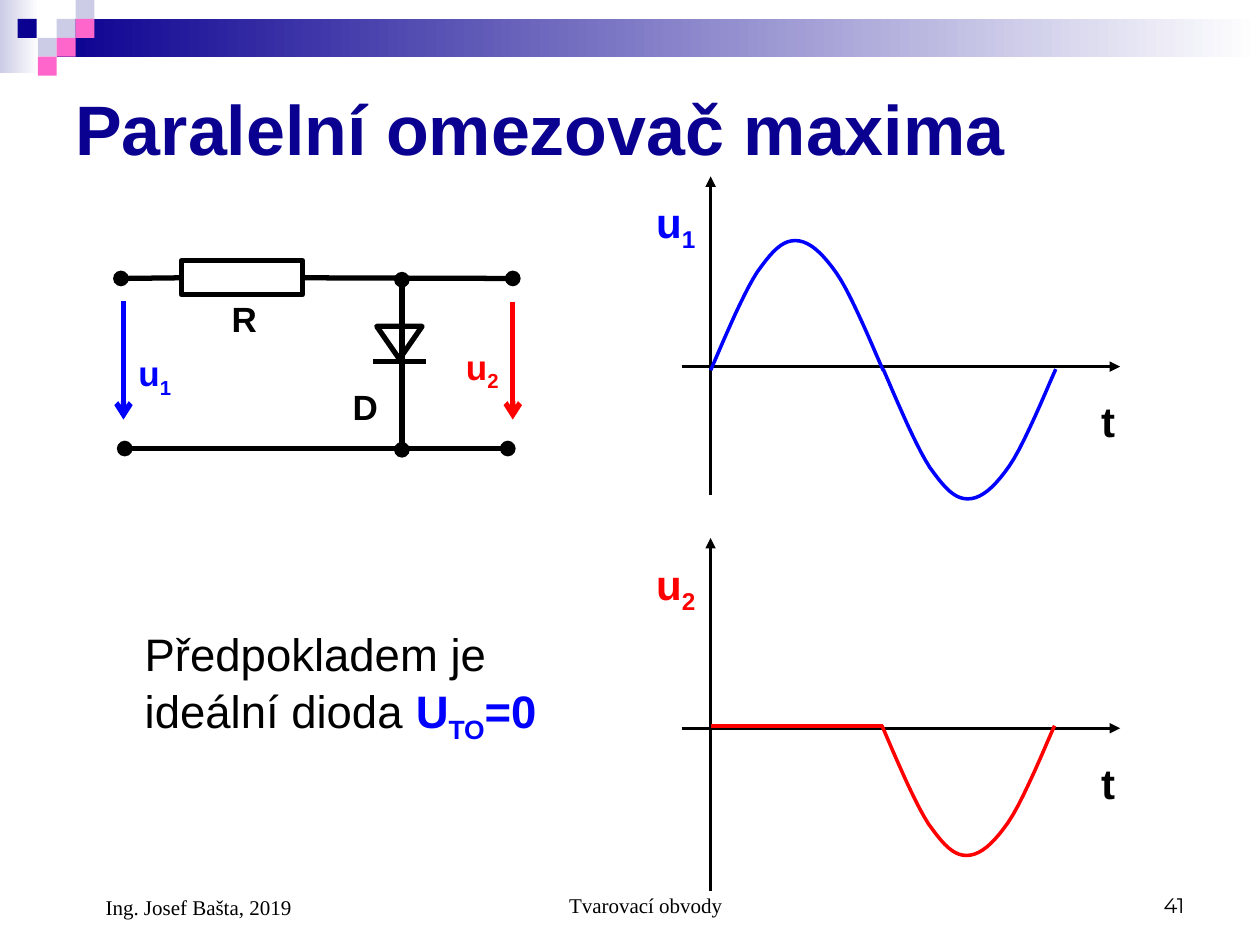
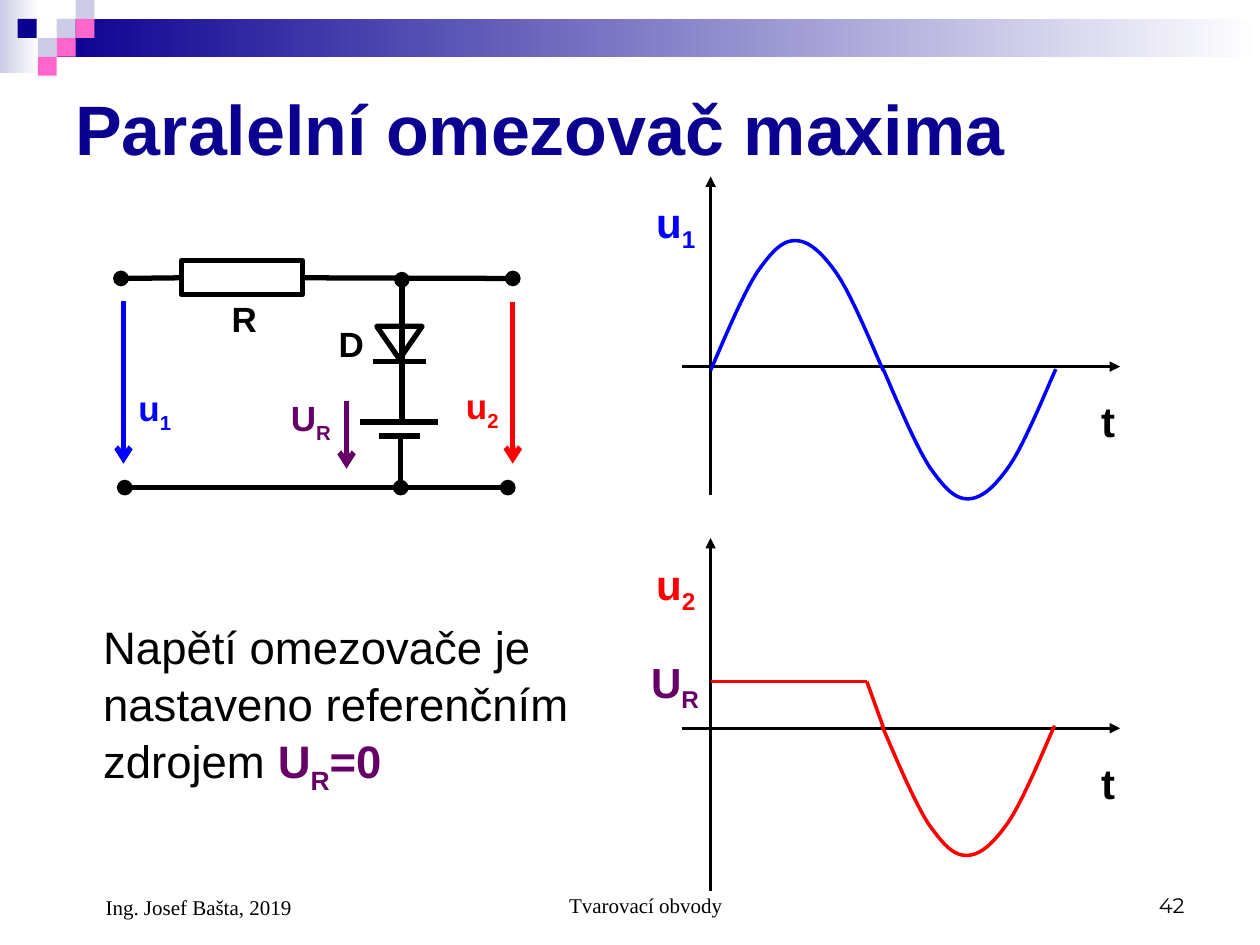
from dataclasses import dataclass
from itertools import pairwise
from typing import NamedTuple

from lxml import etree
from pptx import Presentation
from pptx.dml.color import RGBColor
from pptx.enum.shapes import MSO_CONNECTOR, MSO_SHAPE
from pptx.enum.text import MSO_ANCHOR, PP_ALIGN
from pptx.oxml.ns import qn
from pptx.util import Inches, Pt

STRAIGHT = MSO_CONNECTOR.STRAIGHT
RECT, TRIANGLE = MSO_SHAPE.RECTANGLE, MSO_SHAPE.ISOSCELES_TRIANGLE
TOP, MIDDLE, BOTTOM = MSO_ANCHOR.TOP, MSO_ANCHOR.MIDDLE, MSO_ANCHOR.BOTTOM
LEFT, CENTER, RIGHT = PP_ALIGN.LEFT, PP_ALIGN.CENTER, PP_ALIGN.RIGHT
SIDE_LEFT, SIDE_RIGHT = 1, 3

BLACK, WHITE, NAVY = "000000", "FFFFFF", "0B0191"
LAVENDER, PINK = "CCCCE6", "FF66CC"
BLUE, RED, PURPLE = "0000FF", "FF0000", "660066"
SANS, SERIF, NUMBER_FONT = "Arial", "Times New Roman", "Montserrat"

TITLE = "Paralelní omezovač maxima"
AUTHOR, TOPIC = "Ing. Josef Bašta, 2019", "Tvarovací obvody"
TILE = 0.15
TILES = [(0.45, 0.15, LAVENDER), (0.6, 0, LAVENDER), (0.6, 0.15, PINK),
         (0.3, 0.3, LAVENDER), (0.14, 0.15, NAVY), (0.45, 0.3, PINK), (0.3, 0.45, PINK)]

# Half-wave as cubic Bézier knots: inches along the axis and away from it
HALF_WAVE = [(0, 0), (0.13, 0.3), (0.26, 0.61), (0.37, 0.78), (0.49, 0.95),
             (0.57, 1.03), (0.67, 1.03), (0.78, 1.03), (0.88, 0.94), (1.0, 0.77),
             (1.12, 0.6), (1.31, 0.13), (1.37, 0)]
CURVE_STEPS = 10
CIRCUIT_WIDTH, AXIS_WIDTH, WAVE_WIDTH = 3, 1.5, 2
AXIS_X = 5.64


class Run(NamedTuple):
    text: str
    color: str = BLACK
    bold: bool = True
    sub: bool = False


@dataclass
class Label:
    runs: list[Run]
    left: float
    top: float
    width: float = 0.56
    height: float = 0.48
    size: float = 20
    font: str = SANS
    align: PP_ALIGN = LEFT
    anchor: MSO_ANCHOR = TOP
    indent: float = 0
    spacing: float = 1.0


@dataclass
class Line:
    start: tuple[float, float]
    end: tuple[float, float]
    color: str = BLACK
    width: float = CIRCUIT_WIDTH
    head: str = ""
    tail: str = ""


@dataclass
class LimiterSlide:
    number: int
    circuit_bottom: float
    u1_top: float
    u2_top: float
    arrow_end: float
    diode_wire_end: float
    diode_label: tuple[float, float]
    note: Label
    clipped: list[tuple[float, float]]
    has_reference: bool = False


def rgb(color: str) -> RGBColor:
    return RGBColor.from_string(color)


def symbol(name: str, sub: str, color: str) -> list[Run]:
    return [Run(name, color), Run(sub, color, sub=True)]


def add_label(s, label: Label) -> None:
    box = s.shapes.add_textbox(*map(Inches, (label.left, label.top, label.width, label.height)))
    tf = box.text_frame
    tf.word_wrap = True
    tf.vertical_anchor = label.anchor
    p = tf.paragraphs[0]
    p.alignment = label.align
    p.line_spacing = label.spacing
    if label.indent:
        p._p.get_or_add_pPr().set("marL", str(Inches(label.indent)))
    p.font.name, p.font.size = label.font, Pt(label.size)
    for run in label.runs:
        r = p.add_run()
        r.text = run.text
        r.font.bold = run.bold
        r.font.color.rgb = rgb(run.color)
        if run.sub:
            r.font._element.set("baseline", "-25000")


def add_line(s, line: Line):
    c = s.shapes.add_connector(STRAIGHT, *map(Inches, (*line.start, *line.end)))
    c.line.color.rgb = rgb(line.color)
    c.line.width = Pt(line.width)
    ln = c.line._get_or_add_ln()
    for tag, kind in (("a:headEnd", line.head), ("a:tailEnd", line.tail)):
        if kind:
            etree.SubElement(ln, qn(tag)).set("type", kind)
    etree.SubElement(c._element.spPr, qn("a:effectLst"))
    return c


def add_filled(s, left: float, top: float, width: float, height: float,
               color: str, fade: bool = False) -> None:
    """Draw a borderless rectangle, fading to white on the right if asked."""
    sp = s.shapes.add_shape(RECT, *map(Inches, (left, top, width, height)))
    sp.shadow.inherit = False
    sp.line.fill.background()
    if fade:
        sp.fill.gradient()
        sp.fill.gradient_angle = 0
        for stop, stop_color in zip(sp.fill.gradient_stops, (color, WHITE)):
            stop.color.rgb = rgb(stop_color)
    else:
        sp.fill.solid()
        sp.fill.fore_color.rgb = rgb(color)


def add_outline(s, kind, left: float, top: float, width: float, height: float):
    sp = s.shapes.add_shape(kind, *map(Inches, (left, top, width, height)))
    sp.shadow.inherit = False
    sp.fill.background()
    sp.line.color.rgb = rgb(BLACK)
    sp.line.width = Pt(CIRCUIT_WIDTH)
    return sp


def half_wave_points() -> list[tuple[float, float]]:
    points = [HALF_WAVE[0]]
    for i in range(0, len(HALF_WAVE) - 1, 3):
        knots = HALF_WAVE[i:i + 4]
        for step in range(1, CURVE_STEPS + 1):
            t = step / CURVE_STEPS
            weights = ((1 - t) ** 3, 3 * t * (1 - t) ** 2, 3 * t * t * (1 - t), t ** 3)
            points.append(tuple(sum(w * k[axis] for w, k in zip(weights, knots))
                                for axis in (0, 1)))
    return points


def add_half_wave(s, left: float, base: float, color: str, direction: int) -> None:
    """Draw half a period; direction is -1 above the axis and 1 below it."""
    points = [(Inches(left + x), Inches(base + direction * y)) for x, y in half_wave_points()]
    builder = s.shapes.build_freeform(*points[0])
    builder.add_line_segments(points[1:], close=False)
    sp = builder.convert_to_shape()
    sp.shadow.inherit = False
    sp.fill.background()
    sp.line.color.rgb = rgb(color)
    sp.line.width = Pt(WAVE_WIDTH)


def add_axes(s, base: float, top: float, bottom: float, name: list[Run]) -> None:
    for start, end in (((5.41, base), (8.89, base)), ((AXIS_X, bottom), (AXIS_X, top))):
        add_line(s, Line(start, end, width=AXIS_WIDTH, tail="triangle"))
    add_label(s, Label(name, 5.11, base - 1.4, height=0.56, size=24))
    add_label(s, Label([Run("t")], 8.64, base + 0.18, height=0.5, size=24))


def add_frame(s, number: int) -> None:
    add_filled(s, 0, 0, 0.31, 0.58, LAVENDER, fade=True)
    add_filled(s, 0.45, TILE, 9.55, 0.3, NAVY, fade=True)
    for left, top, color in TILES:
        add_filled(s, left, top, TILE, TILE, color)
    add_label(s, Label([Run(TITLE, NAVY)], 0.5, 0.5, 9, 1.03, size=40, anchor=MIDDLE))
    for text, left, width, height, font, align, indent in (
            (TOPIC, 3.42, 3.17, 0.5, SERIF, CENTER, 0.24),
            (str(number), 7.17, 2.33, 0.5, NUMBER_FONT, RIGHT, 0),
            (AUTHOR, 0.5, 2.33, 0.52, SERIF, LEFT, 0.24)):
        add_label(s, Label([Run(text, bold=False)], left, 6.83, width, height, 12,
                           font, align, BOTTOM, indent))


def add_circuit(s, spec: LimiterSlide) -> None:
    bottom = spec.circuit_bottom
    resistor = add_outline(s, RECT, 1.44, 2.07, 0.96, 0.27)
    for side, start_x, terminal_x in ((SIDE_LEFT, 1.44, 0.96), (SIDE_RIGHT, 2.4, 4.07)):
        wire = add_line(s, Line((start_x, 2.21), (terminal_x, 2.21), tail="oval"))
        wire.begin_connect(resistor, side)
    add_outline(s, TRIANGLE, 2.99, 2.59, 0.36, 0.26).rotation = 180
    node = "" if spec.has_reference else "oval"
    lines = [
        Line((4.03, bottom), (0.99, bottom), head="oval", tail="oval"),
        Line((3.19, spec.diode_wire_end), (3.19, 2.22), head=node, tail="oval"),
        Line((2.96, 2.87), (3.38, 2.87)),
        Line((0.98, 2.39), (0.98, spec.arrow_end), BLUE, tail="arrow"),
        Line((4.07, 2.4), (4.07, spec.arrow_end), RED, tail="arrow"),
    ]
    labels = [
        Label(symbol("u", "1", BLUE), 1, spec.u1_top),
        Label(symbol("u", "2", RED), 3.6, spec.u2_top),
        Label([Run("R")], 1.74, 2.31, 0.46, 0.44),
        Label([Run("D")], *spec.diode_label, 0.46, 0.44),
    ]
    if spec.has_reference:
        lines += [
            Line((3.18, bottom), (3.18, 3.46), head="oval"),
            Line((2.86, 3.35), (3.48, 3.35)),
            Line((3.01, 3.46), (3.33, 3.46)),
            Line((2.75, 3.18), (2.75, 3.72), PURPLE, tail="arrow"),
        ]
        labels.append(Label(symbol("U", "R", PURPLE), 2.21, 3.1))
    for line in lines:
        add_line(s, line)
    for label in labels:
        add_label(s, label)


def add_waveforms(s, spec: LimiterSlide) -> None:
    add_axes(s, 2.91, 1.4, 3.93, symbol("u", "1", BLUE))
    add_half_wave(s, AXIS_X, 2.94, BLUE, -1)
    add_half_wave(s, 7.01, 2.93, BLUE, 1)
    add_axes(s, 5.78, 4.27, 7.07, symbol("u", "2", RED))
    add_half_wave(s, 7, 5.76, RED, 1)
    for start, end in pairwise(spec.clipped):
        add_line(s, Line(start, end, RED, WAVE_WIDTH))
    if spec.has_reference:
        add_label(s, Label(symbol("U", "R", PURPLE), 5.07, 5.16, 0.66, 0.56, 24))


def note(text: str, formula: list[Run], left: float, top: float,
         width: float, height: float) -> Label:
    runs = [Run(text, bold=False), *formula]
    return Label(runs, left, top, width, height, size=26, spacing=1.04)


SLIDES = [
    LimiterSlide(
        number=41, circuit_bottom=3.56, u1_top=2.74, u2_top=2.69, arrow_end=3.33,
        diode_wire_end=3.57, diode_label=(2.7, 3.01),
        note=note("Předpokladem je ideální dioda ",
                  [*symbol("U", "TO", BLUE), Run("=0", BLUE)], 1.05, 4.9, 3.82, 1.03),
        clipped=[(AXIS_X, 5.76), (7.01, 5.76)]),
    LimiterSlide(
        number=42, circuit_bottom=3.87, u1_top=3.02, u2_top=3.0, arrow_end=3.68,
        diode_wire_end=3.34, diode_label=(2.59, 2.51),
        note=note("Napětí omezovače je nastaveno referenčním zdrojem ",
                  [*symbol("U", "R", PURPLE), Run("=0", PURPLE)], 0.72, 4.85, 3.95, 1.46),
        clipped=[(AXIS_X, 5.41), (6.88, 5.41), (7.01, 5.77)], has_reference=True),
]


def main() -> None:
    prs = Presentation()
    prs.slide_width, prs.slide_height = Inches(10), Inches(7.5)
    for spec in SLIDES:
        s = prs.slides.add_slide(prs.slide_layouts[6])
        add_frame(s, spec.number)
        add_circuit(s, spec)
        add_waveforms(s, spec)
        add_label(s, spec.note)
    prs.save("out.pptx")


if __name__ == "__main__":
    main()
